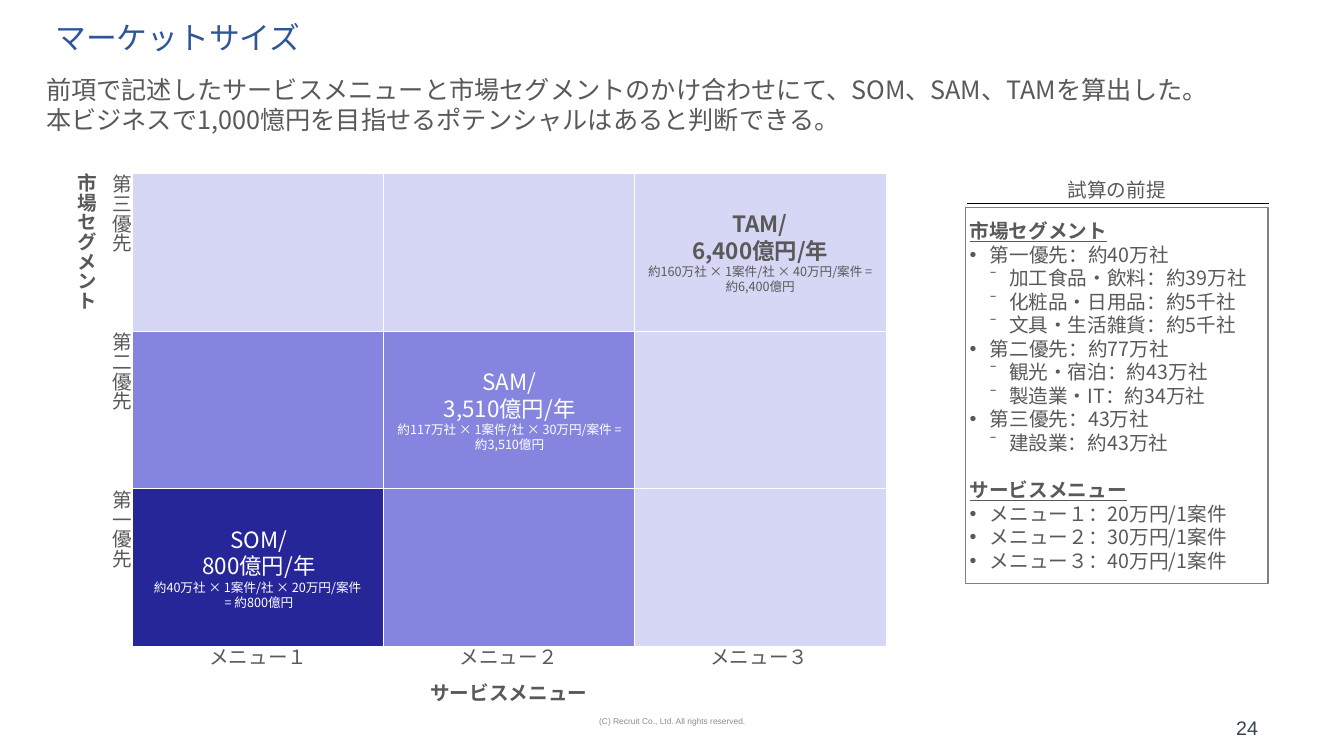
"""Build the market size slide: a segment by menu grid beside its assumptions."""
from dataclasses import dataclass

import pptx
import pptx.dml.color
import pptx.enum.shapes
import pptx.enum.text
import pptx.oxml.ns
import pptx.util
from lxml import etree

Pt = pptx.util.Pt
RGB = pptx.dml.color.RGBColor.from_string
qn = pptx.oxml.ns.qn
ALIGN = pptx.enum.text.PP_ALIGN
ANCHOR = pptx.enum.text.MSO_ANCHOR
AUTO = pptx.enum.text.MSO_AUTO_SIZE


@dataclass(frozen=True)
class Theme:
    """Hold the fonts, colours and type sizes."""
    font: str = "Noto Sans CJK JP"
    small_font: str = "Arial"
    title: str = "2F5597"
    text: str = "595959"
    white: str = "FFFFFF"
    number: str = "34464D"
    footer: str = "8C8C8C"
    border: str = "808080"
    rule: str = "000000"
    levels: tuple = ("262699", "8585E0", "D6D6F5")
    title_size: int = 22
    lead_size: int = 18
    cell_size: int = 16
    label_size: int = 14
    note_size: int = 9
    footer_size: int = 6
    line: float = 0.75


T = Theme()
INSETS = (7.2, 3.6, 7.2, 3.6)
GRID_X, GRID_Y = 95, 123.84
STEP_X, STEP_Y = 179, 112.68
CELL_W = 180
SIDE_X, SIDE_W = 689.76, 216

MENUS = ("メニュー１", "メニュー２", "メニュー３")
SEGMENTS = ("第三優先", "第二優先", "第一優先")
MARKETS = (
    ("SOM/", "800億円/年", "約40万社 × 1案件/社 × 20万円/案件 \n= 約800億円"),
    ("SAM/", "3,510億円/年", "約117万社 × 1案件/社 × 30万円/案件 = 約3,510億円"),
    ("TAM/", "6,400億円/年", "約160万社 × 1案件/社 × 40万円/案件 = 約6,400億円"),
)
LEAD = (
    "前項で記述したサービスメニューと市場セグメントのかけ合わせにて、SOM、SAM、TAMを算出した。",
    "本ビジネスで1,000憶円を目指せるポテンシャルはあると判断できる。",
)
ASSUMPTIONS = (
    (0, "市場セグメント"),
    (1, "第一優先：約40万社"),
    (2, "加工食品・飲料：約39万社"),
    (2, "化粧品・日用品：約5千社"),
    (2, "文具・生活雑貨：約5千社"),
    (1, "第二優先：約77万社"),
    (2, "観光・宿泊：約43万社"),
    (2, "製造業・IT：約34万社"),
    (1, "第三優先：43万社"),
    (2, "建設業：約43万社"),
    (0, "サービスメニュー"),
    (1, "メニュー１：20万円/1案件"),
    (1, "メニュー２：30万円/1案件"),
    (1, "メニュー３：40万円/1案件"),
)
BULLETS = {0: (0, 0, None), 1: (14.4, -14.4, "•"), 2: (28.1, -13.7, "⁻")}


def place(sp, x, y, w, h):
    """Move and size a shape in points."""
    sp.left, sp.top, sp.width, sp.height = Pt(x), Pt(y), Pt(w), Pt(h)


def style(p, size, color, font=T.font, bold=False, underline=False):
    """Format every run of a paragraph."""
    for r in p.runs:
        r.font.size, r.font.bold, r.font.underline = Pt(size), bold, underline
        r.font.color.rgb = RGB(color)
        r.font.name = font
        latin = r.font._element.find(qn("a:latin"))
        ea = etree.Element(qn("a:ea"), typeface=font)
        latin.addnext(ea)


def frame(sp, anchor=ANCHOR.TOP, insets=INSETS, auto=AUTO.NONE):
    """Set the text frame options and return the frame."""
    tf = sp.text_frame
    tf.word_wrap, tf.auto_size, tf.vertical_anchor = True, auto, anchor
    tf.margin_left, tf.margin_top, tf.margin_right, tf.margin_bottom = map(Pt, insets)
    return tf


def add_text(s, box, lines, size, color, align=ALIGN.LEFT, font=T.font, bold=False,
             vertical=False, **options):
    """Add a text box with one paragraph per line."""
    sp = s.shapes.add_textbox(*map(Pt, box))
    tf = frame(sp, **options)
    tf.text = "\n".join(lines)
    if vertical:
        tf._txBody.bodyPr.set("vert", "eaVert")
    for p in tf.paragraphs:
        p.alignment = align
        style(p, size, color, font, bold)


def add_label(s, box, text, bold=False, vertical=False):
    """Add an axis label without insets."""
    add_text(s, box, [text], T.label_size, T.text, ALIGN.CENTER, bold=bold,
             vertical=vertical, insets=(0, 0, 0, 0), auto=AUTO.SHAPE_TO_FIT_TEXT)


def add_cell(s, row, col):
    """Add a grid cell, with the market figures on the diagonal."""
    level = max(col, 2 - row)
    sp = s.shapes.add_shape(pptx.enum.shapes.MSO_SHAPE.RECTANGLE, Pt(GRID_X + col * STEP_X),
                            Pt(GRID_Y + row * STEP_Y), Pt(CELL_W), Pt(STEP_Y))
    sp.shadow.inherit = False
    sp.fill.solid()
    sp.fill.fore_color.rgb = RGB(T.levels[level])
    sp.line.color.rgb = RGB(T.white)
    sp.line.width = Pt(T.line)
    if row + col != 2:
        return
    is_total = col == 2
    tf = frame(sp, ANCHOR.MIDDLE)
    tf.text = "\n".join(line.replace("\n", "\v") for line in MARKETS[col])
    for i, p in enumerate(tf.paragraphs):
        is_note = i == 2
        p.alignment = ALIGN.CENTER
        style(p, T.note_size if is_note else T.cell_size,
              T.text if is_total else T.white, bold=is_total and not is_note)


def add_grid(s):
    """Add the cells and the labels of both axes."""
    for row in range(3):
        for col in range(3):
            add_cell(s, row, col)
    bottom = GRID_Y + 3 * STEP_Y
    for i, (menu, segment) in enumerate(zip(MENUS, SEGMENTS)):
        add_label(s, (GRID_X + i * STEP_X, bottom - 1, STEP_X, 17.3), menu)
        add_label(s, (77.76, GRID_Y + i * STEP_Y + 1, 17.3, 111), segment, vertical=True)
    add_label(s, (GRID_X, 486.7, 3 * STEP_X, 17.3), "サービスメニュー", bold=True)
    add_label(s, (53.3, GRID_Y, 17.3, 3 * STEP_Y), "市場セグメント", bold=True, vertical=True)


def fill_title(sp):
    """Fill the title placeholder."""
    place(sp, 32.4, 3.6, 885.6, 49.7)
    tf = frame(sp, ANCHOR.MIDDLE)
    tf.text = "マーケットサイズ"
    p = tf.paragraphs[0]
    p.alignment, p.line_spacing = ALIGN.LEFT, 0.9
    style(p, T.title_size, T.title)


def fill_assumptions(sp):
    """Fill the body placeholder with the framed list."""
    place(sp, SIDE_X, 148.3, SIDE_W, 268.6)
    sp.line.color.rgb = RGB(T.border)
    sp.line.width = Pt(T.line)
    tf = frame(sp, ANCHOR.MIDDLE, (2.9, 3.6, 2.9, 3.6))
    tf.text = "\n".join(text for _, text in ASSUMPTIONS)
    for i, (p, (level, _)) in enumerate(zip(tf.paragraphs, ASSUMPTIONS)):
        is_heading = level == 0
        p.space_before = Pt(17 if is_heading and i else 0)
        margin, indent, bullet = BULLETS[level]
        pPr = p._p.get_or_add_pPr()
        pPr.set("marL", str(Pt(margin)))
        pPr.set("indent", str(Pt(indent)))
        if bullet:
            etree.SubElement(pPr, qn("a:buChar"), char=bullet)
        else:
            etree.SubElement(pPr, qn("a:buNone"))
        style(p, T.label_size, T.text, bold=is_heading, underline=is_heading)


def add_rule(s, x, y, w):
    """Add a horizontal line."""
    line = s.shapes.add_connector(pptx.enum.shapes.MSO_CONNECTOR.STRAIGHT,
                                  Pt(x), Pt(y), Pt(x + w), Pt(y))
    line.line.color.rgb = RGB(T.rule)
    line.line.width = Pt(T.line)
    etree.SubElement(line._element.spPr, qn("a:effectLst"))


def main():
    """Build and save the slide."""
    prs = pptx.Presentation()
    prs.slide_width, prs.slide_height = Pt(960), Pt(540)
    s = prs.slides.add_slide(prs.slide_layouts[1])
    fill_title(s.shapes.title)
    add_text(s, (25.9, 49.7, 907.9, 80.6), LEAD, T.lead_size, T.text)
    add_grid(s)
    fill_assumptions(s.placeholders[1])
    add_rule(s, SIDE_X + 1, 145.4, SIDE_W)
    add_text(s, (SIDE_X, 123.8, SIDE_W, 24.5), ["試算の前提"], T.label_size, T.text,
             ALIGN.CENTER, auto=AUTO.SHAPE_TO_FIT_TEXT)
    add_text(s, (318.2, 500.4, 324, 28.8), ["(C) Recruit Co., Ltd. All rights reserved."],
             T.footer_size, T.footer, ALIGN.CENTER, T.small_font, anchor=ANCHOR.MIDDLE)
    add_text(s, (SIDE_X, 512.6, SIDE_W, 28.8), ["24"], T.label_size, T.number, ALIGN.RIGHT,
             T.small_font, anchor=ANCHOR.MIDDLE, insets=(7.2, 3.6, 7.2, 18))
    prs.save("out.pptx")


if __name__ == "__main__":
    main()
